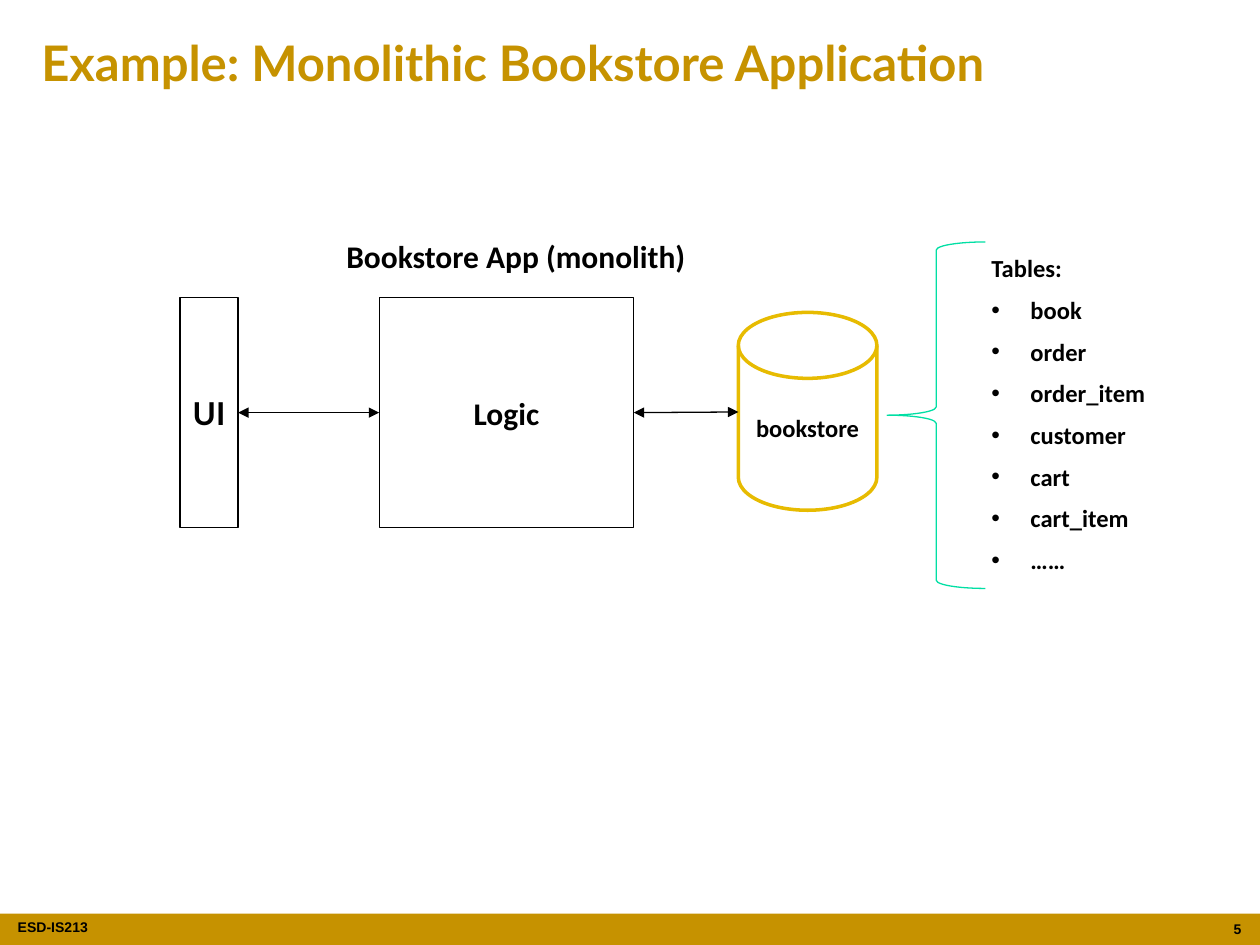
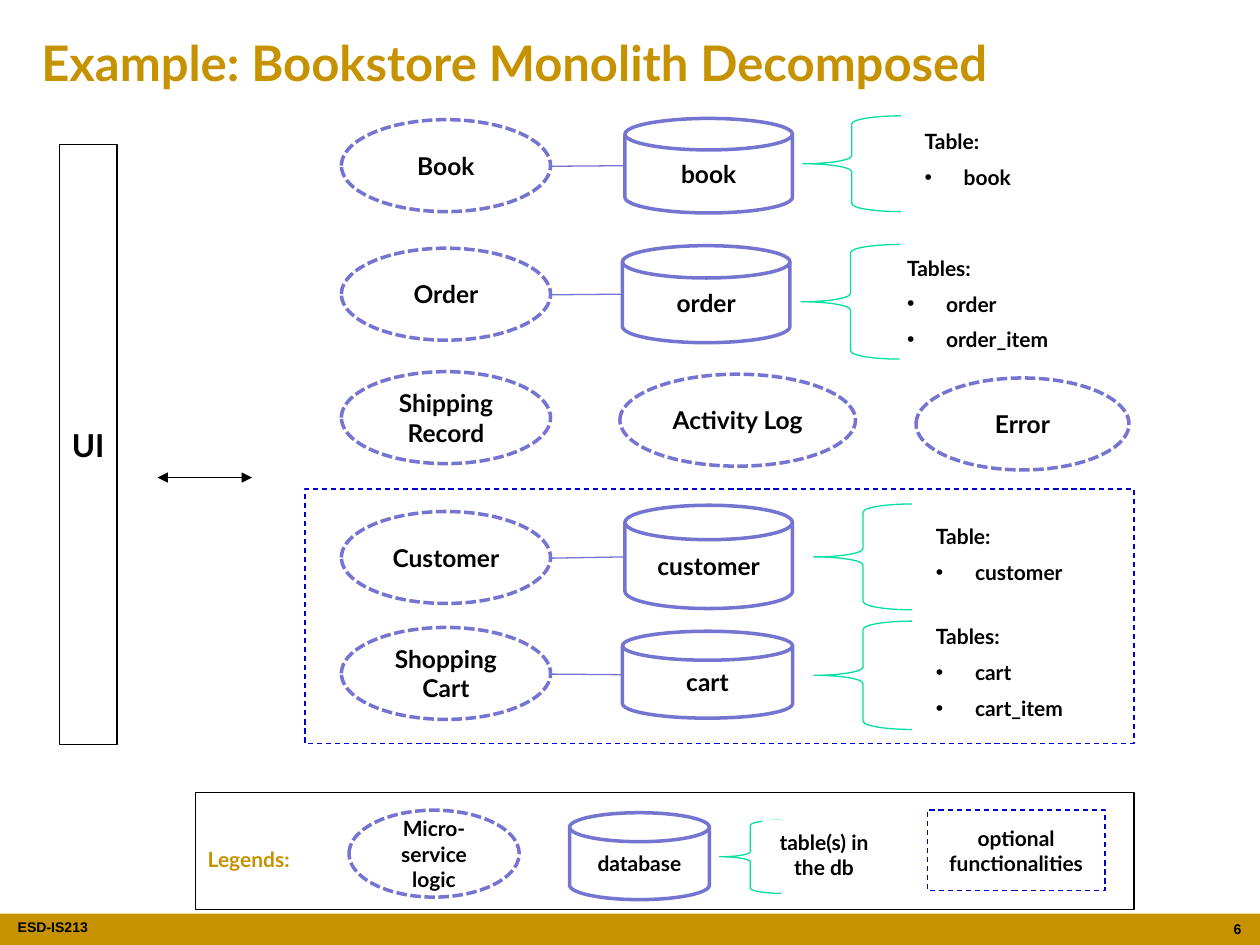
import pptx
import pptx.util
import pptx.dml.color
import pptx.enum.dml
import pptx.enum.shapes
import pptx.enum.text
from lxml import etree

Inches = pptx.util.Inches
Pt = pptx.util.Pt
paint = pptx.dml.color.RGBColor.from_string
Kind = pptx.enum.shapes.MSO_SHAPE
Dash = pptx.enum.dml.MSO_LINE
Align = pptx.enum.text.PP_ALIGN
Anchor = pptx.enum.text.MSO_ANCHOR

GOLD, BLACK, WHITE = "C69200", "000000", "FFFFFF"
AMBER, VIOLET, MINT, BLUE = "E7BB01", "7575D1", "00DFA4", "0000CC"
CENTER, LEFT, RIGHT = Align.CENTER, Align.LEFT, Align.RIGHT
NS = "{http://schemas.openxmlformats.org/drawingml/2006/main}"


def put(slide, kind, at, fill=None, edge=None, thick=0.75, dash=None, text=(),
        size=14, font="Lato", ink=BLACK, align=CENTER, anchor=Anchor.MIDDLE,
        wrap=True, gap=0, inset=0.1):
    box = [Inches(n) for n in at]
    if kind is None:
        shape = slide.shapes.add_textbox(*box)
    else:
        shape = slide.shapes.add_shape(kind, *box)
        shape.shadow.inherit = False
    if fill:
        shape.fill.solid()
        shape.fill.fore_color.rgb = paint(fill)
    else:
        shape.fill.background()
    if edge:
        shape.line.color.rgb = paint(edge)
        shape.line.width = Pt(thick)
        if dash:
            shape.line.dash_style = dash
    else:
        shape.line.fill.background()
    frame = shape.text_frame
    frame.word_wrap = wrap
    frame.vertical_anchor = anchor
    frame.margin_left = frame.margin_right = Inches(inset)
    for i, words in enumerate(text):
        para = frame.add_paragraph() if i else frame.paragraphs[0]
        para.alignment = align
        para.space_before = Pt(gap)
        if i:
            props = para._p.get_or_add_pPr()
            props.set("marL", str(Inches(0.31)))
            props.set("indent", str(Inches(-0.31)))
            etree.SubElement(props, NS + "buFont", typeface="Arial")
            etree.SubElement(props, NS + "buChar", char="•")
        run = para.add_run()
        run.text = words
        run.font.size = Pt(size)
        run.font.name = font
        run.font.bold = True
        run.font.color.rgb = paint(ink)
    return shape


def link(slide, start, end, ink=BLACK, heads=True):
    wire = slide.shapes.add_connector(
        pptx.enum.shapes.MSO_CONNECTOR.STRAIGHT, *[Inches(n) for n in start + end])
    wire.line.color.rgb = paint(ink)
    wire.line.width = Pt(0.75)
    if heads:
        for tag in ("headEnd", "tailEnd"):
            etree.SubElement(wire.line._get_or_add_ln(), NS + tag, type="triangle")
    etree.SubElement(wire._element.spPr, NS + "effectLst")
    return wire


deck = pptx.Presentation()
deck.slide_width, deck.slide_height = Inches(10), Inches(7.5)

pages = []
for number, title in ((5, "Example: Monolithic Bookstore Application"),
                      (6, "Example: Bookstore Monolith Decomposed")):
    page = deck.slides.add_slide(deck.slide_layouts[6])
    put(page, Kind.RECTANGLE, (0, 7.25, 10, 0.25), GOLD)
    put(page, None, (0.14, 7.24, 1.29, 0.25), text=["ESD-IS213"], size=8,
        font="Arial", align=LEFT, anchor=Anchor.TOP, inset=0)
    put(page, None, (0.23, 0.21, 9.54, 0.57), text=[title], size=28, ink=GOLD, align=LEFT)
    put(page, None, (9.56, 7.26, 0.39, 0.24), text=[str(number)], size=8,
        font="Arial", align=RIGHT, anchor=Anchor.TOP)
    pages.append(page)
mono, split = pages

frame = dict(fill=WHITE, edge=BLACK, size=18, wrap=False, gap=9)
oval = dict(edge=VIOLET, thick=2, dash=Dash.SQUARE_DOT)
disk = dict(fill=WHITE, edge=VIOLET, thick=2)
option = dict(edge=BLUE, dash=Dash.DASH)
names = dict(fill=WHITE, align=LEFT, wrap=False)

logic = put(mono, Kind.RECTANGLE, (3.01, 2.36, 2.02, 1.83), text=["Logic"],
            font="Calibri", **frame)
put(mono, Kind.FLOWCHART_MAGNETIC_DISK, (5.86, 2.48, 1.1, 1.57), WHITE, AMBER, 2,
    text=["bookstore"], font="Calibri")
wire = link(mono, (5.03, 3.27), (5.86, 3.27))
wire.begin_connect(logic, 3)
put(mono, Kind.RECTANGLE, (7.77, 2.12, 1.62, 2.33), font="Calibri", gap=7,
    text=["Tables:", "book", "order", "order_item", "customer", "cart",
          "cart_item", "……"], **names)
put(mono, Kind.LEFT_BRACE, (7.04, 1.92, 0.78, 2.75), edge=MINT)
screen = put(mono, Kind.RECTANGLE, (1.43, 2.36, 0.46, 1.83), text=["UI"], **frame)
put(mono, Kind.RECTANGLE, (2.77, 1.72, 2.65, 0.63), WHITE,
    text=["Bookstore App (monolith)"], size=18, font="Calibri", wrap=False)
wire = link(mono, (1.89, 3.27), (3.01, 3.27))
wire.begin_connect(screen, 3)
wire.end_connect(logic, 1)

put(split, Kind.RECTANGLE, (0.47, 1.15, 0.46, 4.76), text=["UI"], **frame)
link(split, (1.25, 3.79), (2, 3.79))

rows = [
    ("Book", 0.95, (4.96, 0.94, 1.33, 0.75), (7.24, 0.76, 1.18, 1.01),
     (6.37, 0.92, 0.78, 0.76), ["Table:", "book"]),
    ("Order", 1.97, (4.94, 1.95, 1.33, 0.77), (7.1, 1.77, 1.18, 1.28),
     (6.36, 1.94, 0.78, 0.91), ["Tables:", "order", "order_item"]),
    ("Customer", 4.06, (4.96, 4.01, 1.33, 0.82), (7.33, 3.87, 1.18, 1.06),
     (6.46, 4, 0.78, 0.84), ["Table:", "customer"]),
    ("Shopping Cart", 4.98, (4.94, 5.01, 1.35, 0.69), (7.33, 4.65, 1.18, 1.37),
     (6.46, 4.93, 0.78, 0.86), ["Tables:", "cart", "cart_item"]),
]
for label, top, store, notes, brace, tables in rows:
    put(split, Kind.OVAL, (2.71, top, 1.66, 0.73), text=[label], **oval)
    put(split, Kind.FLOWCHART_MAGNETIC_DISK, store, text=[tables[1]], **disk)
    put(split, Kind.RECTANGLE, notes, text=tables, size=12, gap=6, **names)
    put(split, Kind.LEFT_BRACE, brace, edge=MINT)
    link(split, (4.37, top + 0.37), (store[0], store[1] + store[3] / 2), VIOLET, False)

put(split, Kind.RECTANGLE, (2.42, 3.88, 6.58, 2.02), **option)
for label, left, top, width in (("Shipping Record", 2.71, 2.95, 1.66),
                                ("Activity Log", 4.92, 2.97, 1.87),
                                ("Error", 7.27, 3, 1.69)):
    put(split, Kind.OVAL, (left, top, width, 0.73), text=[label], **oval)

put(split, Kind.RECTANGLE, (1.55, 6.29, 7.45, 0.93), edge=BLACK)
put(split, Kind.OVAL, (2.77, 6.43, 1.35, 0.69), text=["Micro-service logic"],
    size=12, **oval)
put(split, Kind.RECTANGLE, (7.36, 6.43, 1.41, 0.64),
    text=["optional functionalities"], size=12, **option)
put(split, None, (1.55, 6.67, 1.01, 0.3), text=["Legends:"], size=12, ink=GOLD,
    align=LEFT, anchor=Anchor.TOP)
put(split, Kind.FLOWCHART_MAGNETIC_DISK, (4.52, 6.45, 1.11, 0.69),
    text=["database"], size=12, **disk)
put(split, Kind.LEFT_BRACE, (5.71, 6.51, 0.49, 0.58), edge=MINT)
put(split, Kind.RECTANGLE, (6.05, 6.51, 0.98, 0.55), WHITE,
    text=["table(s) in the db"], size=12, gap=6)

deck.save("out.pptx")
